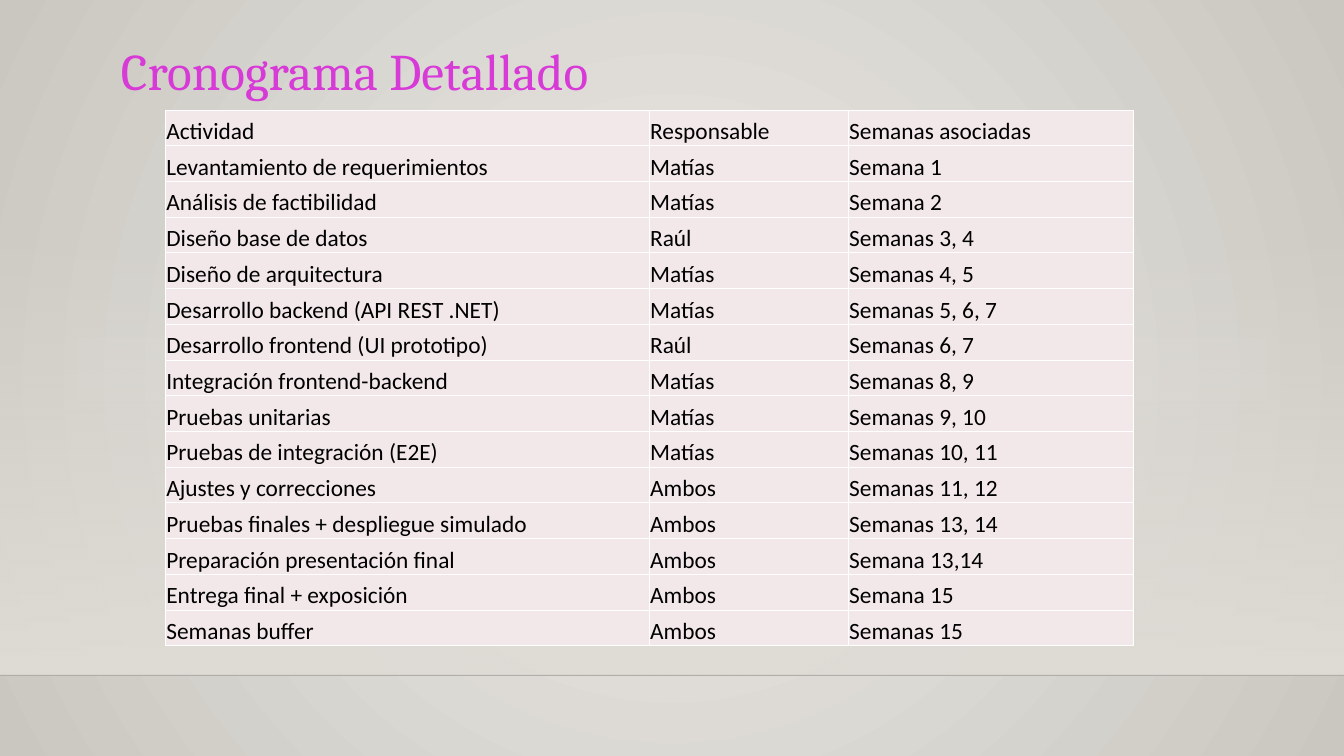
"""Build the detailed schedule slide."""
from dataclasses import dataclass

from lxml.etree import SubElement
from pptx import Presentation
from pptx.dml.color import RGBColor as RGB
from pptx.enum.shapes import MSO_CONNECTOR as CONN, MSO_SHAPE as SHAPE
from pptx.enum.text import MSO_ANCHOR as ANCHOR, MSO_AUTO_SIZE as FIT, PP_ALIGN as ALIGN
from pptx.oxml.ns import qn
from pptx.util import Inches, Pt


@dataclass(frozen=True)
class Theme:
    """Colours, fonts and type sizes of the slide."""
    glow: str = "ECEAE7"
    edge: str = "CAC7C1"
    band: str = "DFDBD5"
    rule: str = "000001"
    white: str = "FFFFFF"
    title: str = "D73AD7"
    text: str = "000000"
    cell: str = "F3E8E9"
    title_font: str = "Cambria"
    body_font: str = "Calibri"
    title_size: int = 44
    title_leading: int = 55
    body_size: int = 20


THEME = Theme()
COLUMNS = (5.76, 2.37, 3.4)
TABLE_HEIGHT = 6.38
SCHEDULE = (
    ("Actividad", "Responsable", "Semanas asociadas"),
    ("Levantamiento de requerimientos", "Matías", "Semana 1"),
    ("Análisis de factibilidad", "Matías", "Semana 2"),
    ("Diseño base de datos", "Raúl", "Semanas 3, 4"),
    ("Diseño de arquitectura", "Matías", "Semanas 4, 5"),
    ("Desarrollo backend (API REST .NET)", "Matías", "Semanas 5, 6, 7"),
    ("Desarrollo frontend (UI prototipo)", "Raúl", "Semanas 6, 7"),
    ("Integración frontend-backend", "Matías", "Semanas 8, 9"),
    ("Pruebas unitarias", "Matías", "Semanas 9, 10"),
    ("Pruebas de integración (E2E)", "Matías", "Semanas 10, 11"),
    ("Ajustes y correcciones", "Ambos", "Semanas 11, 12"),
    ("Pruebas finales + despliegue simulado", "Ambos", "Semanas 13, 14"),
    ("Preparación presentación final", "Ambos", "Semana 13,14"),
    ("Entrega final + exposición", "Ambos", "Semana 15"),
    ("Semanas buffer", "Ambos", "Semanas 15"),
)


def assign(obj, **values):
    """Set each named attribute on an object."""
    for name, value in values.items():
        setattr(obj, name, value)


def set_font(font, name, size, color):
    """Format a font."""
    assign(font, name=name, size=Pt(size), bold=False)
    font.color.rgb = RGB.from_string(color)


def set_gradient(fill, colors):
    """Give a fill a two-stop gradient."""
    fill.gradient()
    for stop, color, position in zip(fill.gradient_stops, colors, (0, 1)):
        stop.color.rgb = RGB.from_string(color)
        stop.position = position


def set_opacity(element, percent):
    """Set the opacity of the first colour inside an element."""
    color = next(element.iter(qn("a:srgbClr")))
    SubElement(color, qn("a:alpha"), val=str(percent * 1000))


def set_background(s):
    """Fill the background with a circular gradient."""
    set_gradient(s.background.fill, (THEME.glow, THEME.edge))
    lin = next(s.element.iter(qn("a:lin")))
    circle = lin.makeelement(qn("a:path"), {"path": "circle"})
    SubElement(circle, qn("a:fillToRect"), dict.fromkeys("ltrb", "50000"))
    lin.getparent().replace(lin, circle)


def add_rect(s, left, top, width, height):
    """Add a rectangle without outline or shadow."""
    sp = s.shapes.add_shape(SHAPE.RECTANGLE, *map(Inches, (left, top, width, height)))
    sp.shadow.inherit = False
    sp.line.fill.background()
    return sp


def add_band(s):
    """Add the band that fades in from above."""
    sp = add_rect(s, 0, 2.65, 16, 5.39)
    set_gradient(sp.fill, (THEME.band, THEME.band))
    sp.fill.gradient_angle = 270
    set_opacity(sp.element.spPr, 0)


def add_rule(s):
    """Add the faint line under the band."""
    line = s.shapes.add_connector(CONN.STRAIGHT, *map(Inches, (0, 8.04, 16, 8.04)))
    line.line.width = Pt(1)
    line.line.color.rgb = RGB.from_string(THEME.rule)
    sp_pr = line.element.spPr
    set_opacity(sp_pr, 20)
    SubElement(sp_pr, qn("a:effectLst"))


def add_veil(s):
    """Add the almost clear white strip behind the table."""
    sp = add_rect(s, 0.92, 4.02, 14.15, 0.75)
    sp.fill.solid()
    sp.fill.fore_color.rgb = RGB.from_string(THEME.white)
    set_opacity(sp.element.spPr, 4)


def set_title(s, text):
    """Place and format the title."""
    title = s.shapes.title
    assign(title, left=Inches(1.44), top=Inches(0.44), width=Inches(6.73), height=Inches(0.77))
    tf = title.text_frame
    tf.text = text
    assign(tf, margin_left=0, margin_top=0, margin_right=0, margin_bottom=0,
           word_wrap=True, auto_size=FIT.NONE, vertical_anchor=ANCHOR.TOP)
    p = tf.paragraphs[0]
    assign(p, alignment=ALIGN.LEFT, line_spacing=Pt(THEME.title_leading))
    set_font(p.runs[0].font, THEME.title_font, THEME.title_size, THEME.title)


def set_borders(cell):
    """Draw a thin white line on every side of a cell."""
    tc_pr = cell._tc.get_or_add_tcPr()
    for side in ("lnL", "lnR", "lnT", "lnB"):
        line = SubElement(tc_pr, qn(f"a:{side}"), w=str(Pt(1)))
        solid = SubElement(line, qn("a:solidFill"))
        SubElement(solid, qn("a:srgbClr"), val=THEME.white)


def fill_cell(cell, text):
    """Write and format one table cell."""
    cell.text = text
    margin = Inches(0.01)
    assign(cell, margin_left=margin, margin_top=margin, margin_right=margin,
           margin_bottom=0, vertical_anchor=ANCHOR.BOTTOM)
    set_borders(cell)
    cell.fill.solid()
    cell.fill.fore_color.rgb = RGB.from_string(THEME.cell)
    run = cell.text_frame.paragraphs[0].runs[0]
    set_font(run.font, THEME.body_font, THEME.body_size, THEME.text)


def add_schedule(s):
    """Add the schedule table."""
    frame = s.shapes.add_table(len(SCHEDULE), len(COLUMNS), Inches(1.97), Inches(1.31),
                               Inches(sum(COLUMNS)), Inches(TABLE_HEIGHT))
    table = frame.table
    assign(table, first_row=False, horz_banding=False)
    for column, width in zip(table.columns, COLUMNS):
        column.width = Inches(width)
    for row, texts in zip(table.rows, SCHEDULE):
        for cell, text in zip(row.cells, texts):
            fill_cell(cell, text)


def main():
    """Build and save the slide."""
    prs = Presentation()
    assign(prs, slide_width=Inches(16), slide_height=Inches(9))
    s = prs.slides.add_slide(prs.slide_layouts[5])
    set_background(s)
    add_band(s)
    add_rule(s)
    set_title(s, "Cronograma Detallado")
    add_veil(s)
    add_schedule(s)
    prs.save("out.pptx")


if __name__ == "__main__":
    main()
